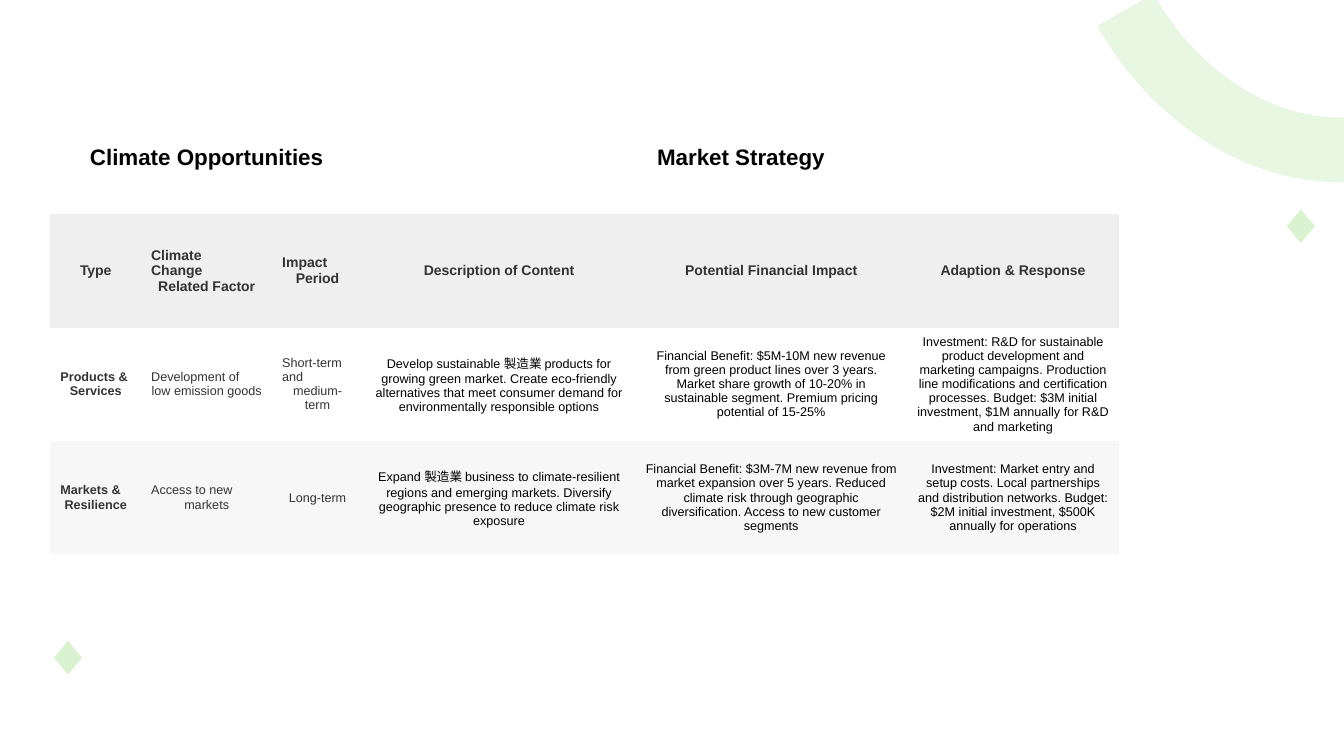
from pptx import Presentation
from pptx.dml.color import RGBColor
from pptx.enum.shapes import MSO_SHAPE
from pptx.enum.text import MSO_ANCHOR, PP_ALIGN
from pptx.oxml.ns import qn
from pptx.util import Pt
from lxml import etree

ARC, DIAMOND = MSO_SHAPE.ARC, MSO_SHAPE.DIAMOND
LEFT, CENTER = PP_ALIGN.LEFT, PP_ALIGN.CENTER
MIDDLE = MSO_ANCHOR.MIDDLE

BLACK = RGBColor(0x00, 0x00, 0x00)
CHARCOAL = RGBColor(0x33, 0x33, 0x33)
WHITE = RGBColor(0xFF, 0xFF, 0xFF)
HEADER_GRAY = RGBColor(0xEF, 0xEF, 0xEF)
BAND_GRAY = RGBColor(0xF7, 0xF7, 0xF7)
PALE_GREEN = RGBColor(0xD9, 0xF2, 0xD0)

PLAIN_TABLE_STYLE = "{2D5ABB26-0587-4C30-8999-92F81FD0307C}"
COLUMN_WIDTHS = [64.8, 93.6, 64.8, 194.4, 194.4, 151.2]
ROW_HEIGHT = 81
GROUP_SPAN = 3
LABEL_COLUMNS = 3

GROUPS = ["Climate Opportunities", "Market Strategy"]
HEADERS = [
    "Type",
    "Climate\nChange\nRelated Factor",
    "Impact\nPeriod",
    "Description of Content",
    "Potential Financial Impact",
    "Adaption & Response",
]
OPPORTUNITIES = [
    [
        "Products &\nServices",
        "Development of\nlow emission goods",
        "Short-term\nand\nmedium-term",
        "Develop sustainable 製造業 products for growing green market. "
        "Create eco-friendly alternatives that meet consumer demand for "
        "environmentally responsible options",
        "Financial Benefit: $5M-10M new revenue from green product lines "
        "over 3 years. Market share growth of 10-20% in sustainable segment. "
        "Premium pricing potential of 15-25%",
        "Investment: R&D for sustainable product development and marketing "
        "campaigns. Production line modifications and certification "
        "processes. Budget: $3M initial investment, $1M annually for R&D "
        "and marketing",
    ],
    [
        "Markets &\nResilience",
        "Access to new\nmarkets",
        "Long-term",
        "Expand 製造業 business to climate-resilient regions and emerging "
        "markets. Diversify geographic presence to reduce climate risk "
        "exposure",
        "Financial Benefit: $3M-7M new revenue from market expansion over "
        "5 years. Reduced climate risk through geographic diversification. "
        "Access to new customer segments",
        "Investment: Market entry and setup costs. Local partnerships and "
        "distribution networks. Budget: $2M initial investment, $500K "
        "annually for operations",
    ],
]
ROW_FILLS = [WHITE, BAND_GRAY]


class SlideBuilder:
    font = "Arial"

    def __init__(self, slide):
        self.slide = slide

    def arc(self, left, top, width, height, rotation, angles, weight, opacity):
        shape = self.slide.shapes.add_shape(
            ARC, Pt(left), Pt(top), Pt(width), Pt(height))
        shape.shadow.inherit = False
        shape.rotation = rotation
        for index, angle in enumerate(angles):
            shape.adjustments[index] = angle
        shape.fill.background()
        shape.line.color.rgb = PALE_GREEN
        shape.line.width = Pt(weight)
        color = next(shape.line.fill._xPr.iter(qn("a:srgbClr")))
        etree.SubElement(color, qn("a:alpha"), val=str(opacity * 1000))

    def diamond(self, left, top):
        shape = self.slide.shapes.add_shape(
            DIAMOND, Pt(left), Pt(top), Pt(22.3), Pt(26.6))
        shape.shadow.inherit = False
        shape.fill.solid()
        shape.fill.fore_color.rgb = PALE_GREEN
        shape.line.color.rgb = WHITE
        shape.line.width = Pt(1.5)

    def table(self, left, top, row_count):
        frame = self.slide.shapes.add_table(
            row_count, len(COLUMN_WIDTHS), Pt(left), Pt(top),
            Pt(sum(COLUMN_WIDTHS)), Pt(ROW_HEIGHT * row_count))
        next(frame._element.iter(qn("a:tableStyleId"))).text = PLAIN_TABLE_STYLE
        table = frame.table
        for column, width in zip(table.columns, COLUMN_WIDTHS):
            column.width = Pt(width)
        for row in table.rows:
            row.height = Pt(ROW_HEIGHT)
        return table

    def cell(self, cell, text, fill, size, color, bold=False):
        cell.fill.solid()
        cell.fill.fore_color.rgb = fill
        cell.vertical_anchor = MIDDLE
        frame = cell.text_frame
        lines = text.split("\n")
        for index, line in enumerate(lines):
            paragraph = frame.add_paragraph() if index else frame.paragraphs[0]
            paragraph.alignment = CENTER if line is lines[-1] else LEFT
            run = paragraph.add_run()
            run.text = line
            run.font.name = self.font
            run.font.size = Pt(size)
            run.font.bold = bold
            run.font.color.rgb = color


def main():
    presentation = Presentation()
    presentation.slide_width = Pt(960)
    presentation.slide_height = Pt(540)
    builder = SlideBuilder(
        presentation.slides.add_slide(presentation.slide_layouts[6]))

    builder.arc(784.8, -243.4, 288, 357.8, 151.3, (152.05, 215.37), 46.25, 60)
    builder.diamond(918, 148.3)
    builder.diamond(37.4, 456.5)

    table = builder.table(36, 72, 2 + len(OPPORTUNITIES))
    for index, group in enumerate(GROUPS):
        first = index * GROUP_SPAN
        heading = table.cell(0, first)
        heading.merge(table.cell(0, first + GROUP_SPAN - 1))
        builder.cell(heading, group, WHITE, 16, BLACK, True)
    for column, header in enumerate(HEADERS):
        builder.cell(table.cell(1, column), header, HEADER_GRAY, 10,
                     CHARCOAL, True)
    for row, (texts, fill) in enumerate(zip(OPPORTUNITIES, ROW_FILLS), 2):
        for column, text in enumerate(texts):
            color = CHARCOAL if column < LABEL_COLUMNS else BLACK
            builder.cell(table.cell(row, column), text, fill, 9, color,
                         column == 0)

    presentation.save("out.pptx")


if __name__ == "__main__":
    main()
